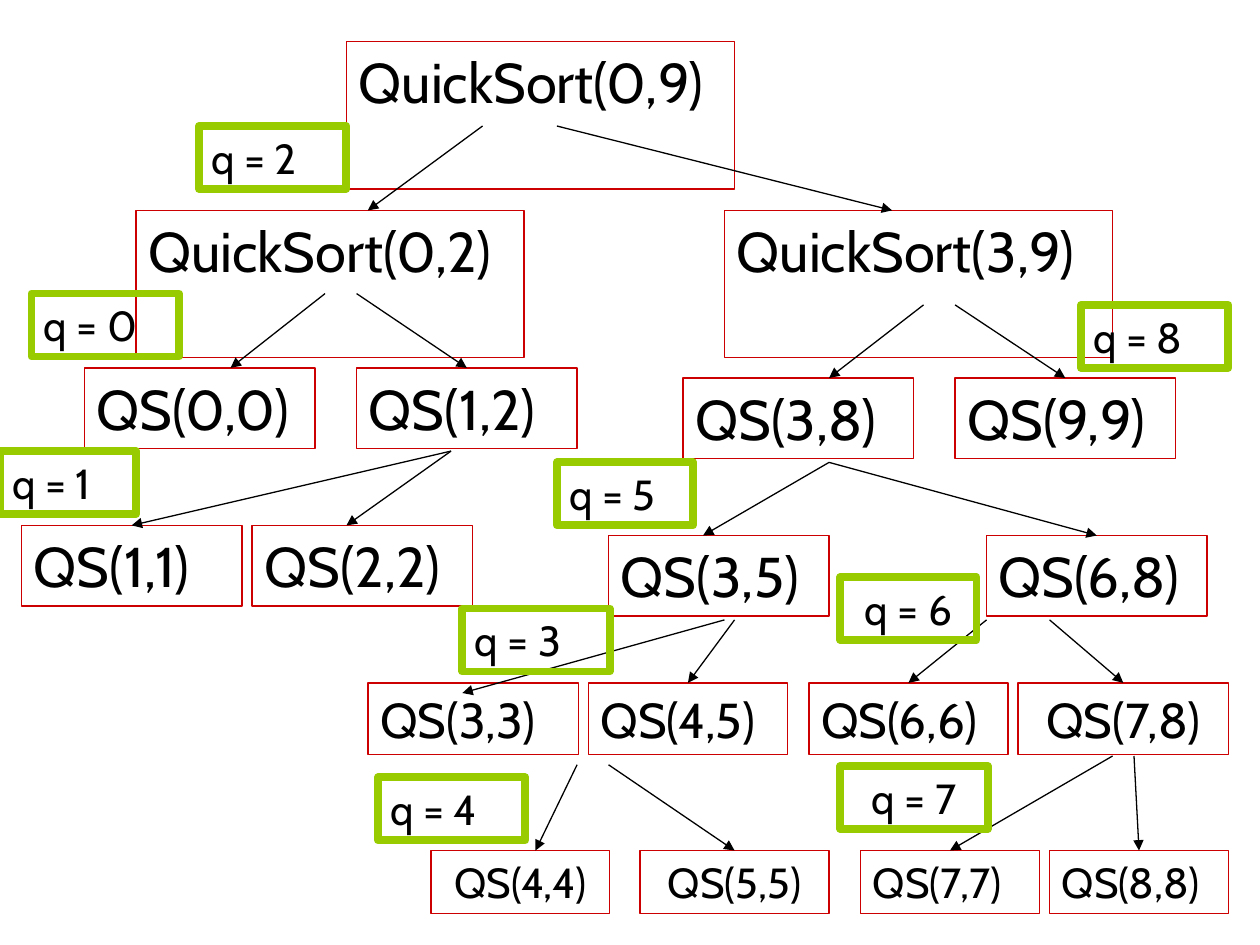
from dataclasses import dataclass

from lxml import etree
from pptx import Presentation
from pptx.dml.color import RGBColor
from pptx.enum.shapes import MSO_CONNECTOR, MSO_SHAPE
from pptx.enum.text import MSO_ANCHOR, PP_ALIGN
from pptx.oxml.ns import qn
from pptx.util import Inches, Pt

RED = RGBColor(0xCC, 0x00, 0x00)
GREEN = RGBColor(0x99, 0xCC, 0x00)
BLACK = RGBColor(0x00, 0x00, 0x00)
FONT = "Cabin"
LEFT, CENTER = PP_ALIGN.LEFT, PP_ALIGN.CENTER

BOX_HEIGHT = {32: 0.64, 28: 0.57, 24: 0.5}  # by text size
TALL = 1.17
JOIN_TOLERANCE = 0.05
TOP_SIDE = 0


@dataclass
class Call:
    """A recursive call; dx, start and tip are measured from the region's left."""
    text: str
    dx: float
    width: float
    start: float
    tip: float
    tip_drop: float = 0
    align: PP_ALIGN = LEFT


@dataclass
class Pivot:
    """The label with the split point, placed from the region's top left."""
    text: str
    dx: float
    dy: float = 0
    width: float = 1.17
    align: PP_ALIGN = LEFT


def set_text(sp, text, *, size, align=LEFT):
    tf = sp.text_frame
    tf.word_wrap = True
    tf.vertical_anchor = MSO_ANCHOR.TOP
    p = tf.paragraphs[0]
    p.alignment = align
    r = p.add_run()
    r.text = text
    r.font.name = FONT
    r.font.size = Pt(size)
    r.font.color.rgb = BLACK


def add_box(slide, x, y, width, height, text, *, color=RED, weight=0.75, size=32, align=LEFT):
    sp = slide.shapes.add_shape(
        MSO_SHAPE.RECTANGLE, Inches(x), Inches(y), Inches(width), Inches(height))
    sp.shadow.inherit = False
    sp.fill.background()
    sp.line.color.rgb = color
    sp.line.width = Pt(weight)
    set_text(sp, text, size=size, align=align)
    return sp


def add_arrow(slide, x1, y1, x2, y2):
    line = slide.shapes.add_connector(
        MSO_CONNECTOR.STRAIGHT, Inches(x1), Inches(y1), Inches(x2), Inches(y2))
    line.line.color.rgb = BLACK
    line.line.width = Pt(0.75)
    etree.SubElement(line.line._get_or_add_ln(), qn("a:tailEnd"), type="triangle")
    etree.SubElement(line._element.spPr, qn("a:effectLst"))
    return line


def draw_split(slide, left, top, drop, pivot, calls, size=32, height=None):
    """Arrows leave at the region's top; the calls stand `drop` below it."""
    height = height or BOX_HEIGHT[size]
    y = top + drop
    for call in calls:
        x = left + call.dx
        sp = add_box(slide, x, y, call.width, height, call.text, size=size, align=call.align)
        arrow = add_arrow(slide, left + call.start, top, left + call.tip, y + call.tip_drop)
        off_center = abs(call.tip - call.dx - call.width / 2)
        if off_center < JOIN_TOLERANCE and not call.tip_drop:
            arrow.end_connect(sp, TOP_SIDE)
    add_box(slide, left + pivot.dx, top + pivot.dy, pivot.width, 0.5, pivot.text,
            color=GREEN, weight=4.5, size=24, align=pivot.align)


def draw_tree(slide):
    add_box(slide, 2.75, 0.33, 3.08, TALL, "QuickSort(0,9)")
    draw_split(slide, 1.08, 1, 0.67, Pivot("q = 2", 0.5), [
        Call("QuickSort(0,2)", 0, 3.08, 2.75, 1.84),
        Call("QuickSort(3,9)", 4.67, 3.08, 3.34, 6)], height=TALL)
    draw_split(slide, 0.25, 2.33, 0.59, Pivot("q = 0", 0), [
        Call("QS(0,0)", 0.42, 1.83, 2.33, 1.58),
        Call("QS(1,2)", 2.58, 1.75, 2.58, 3.42)])
    draw_split(slide, 5.42, 2.42, 0.58, Pivot("q = 8", 3.16), [
        Call("QS(3,8)", 0, 1.83, 1.91, 1.16),
        Call("QS(9,9)", 2.16, 1.75, 2.16, 3)])
    draw_split(slide, 0, 3.58, 0.59, Pivot("q = 1", 0, width=1.08), [
        Call("QS(1,1)", 0.17, 1.75, 3.58, 1.08),
        Call("QS(2,2)", 2, 1.75, 3.58, 2.75)])
    draw_split(slide, 4.42, 3.67, 0.58, Pivot("q = 5", 0, width=1.08), [
        Call("QS(3,5)", 0.41, 1.75, 2.16, 1.16),
        Call("QS(6,8)", 3.41, 1.75, 2.16, 4.33)])
    draw_split(slide, 2.92, 4.92, 0.5, Pivot("q = 3", 0.75, -0.09), [
        Call("QS(3,3)", 0, 1.67, 2.83, 0.75, tip_drop=0.08),
        Call("QS(4,5)", 1.75, 1.58, 2.91, 2.58)], size=28)
    draw_split(slide, 6.42, 4.92, 0.5, Pivot("q = 6", 0.25, -0.34, 1.08, CENTER), [
        Call("QS(6,6)", 0, 1.58, 1.41, 0.83),
        Call("QS(7,8)", 1.66, 1.67, 1.91, 2.5, align=CENTER)], size=28)
    draw_split(slide, 3, 6.07, 0.68, Pivot("q = 4", 0, 0.1), [
        Call("QS(4,4)", 0.42, 1.42, 1.58, 1.25, align=CENTER),
        Call("QS(5,5)", 2.08, 1.5, 1.83, 2.83, align=CENTER)], size=24)
    draw_split(slide, 6.67, 6, 0.75, Pivot("q = 7", 0, 0.08, align=CENTER), [
        Call("QS(7,7)", 0.16, 1.42, 2.16, 0.91),
        Call("QS(8,8)", 1.66, 1.42, 2.33, 2.41)], size=24)


def main():
    prs = Presentation()
    prs.slide_width, prs.slide_height = Inches(10), Inches(7.5)
    draw_tree(prs.slides.add_slide(prs.slide_layouts[6]))
    prs.save("out.pptx")


if __name__ == "__main__":
    main()
